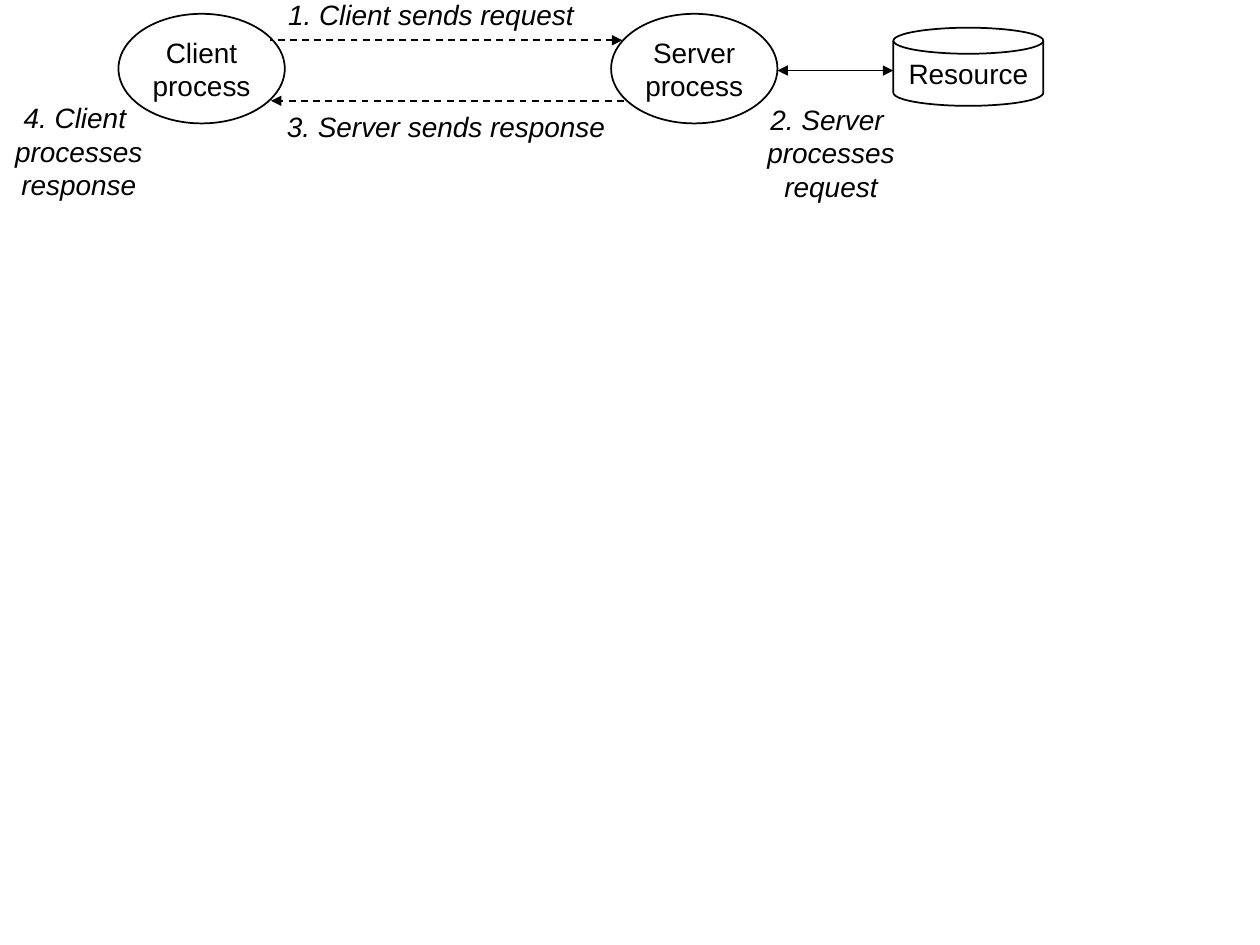
from lxml import etree
from pptx import Presentation
from pptx.dml.color import RGBColor
from pptx.enum.dml import MSO_LINE as Dash
from pptx.enum.shapes import MSO_CONNECTOR as Conn, MSO_SHAPE as Kind
from pptx.enum.text import MSO_ANCHOR as Anchor, MSO_AUTO_SIZE as Auto, PP_ALIGN as Align
from pptx.oxml.ns import qn
from pptx.util import Inches, Pt

HUES = {"ink": "000000", "paper": "FFFFFF"}
FONT, SIZE = "Arial", 16

# Content, back to front: nodes, arrows and step labels
OVAL = (1.32, 0.87)
PARTS = [
    ("node", Kind.OVAL, (0.94, 0.11, *OVAL), ["Client", "process"], "paper"),
    ("arrow", (4.94, 0.32), (2.14, 0.32), ["headEnd"], True),
    ("node", Kind.OVAL, (4.85, 0.11, *OVAL), ["Server", "process"], "paper"),
    ("label", (2.17, -0.07, 2.5, 0.37), ["1. Client sends request"]),
    ("label", (5.99, 0.76, 1.21, 0.9), ["2. Server ", "processes", "request"]),
    ("arrow", (4.95, 0.8), (2.15, 0.8), ["tailEnd"], True),
    ("label", (2.16, 0.82, 2.76, 0.37), ["3. Server sends response"]),
    ("label", (0.02, 0.75, 1.21, 0.9), ["4. Client ", "processes", "response"]),
    ("arrow", (6.17, 0.56), (7.09, 0.56), ["headEnd", "tailEnd"], False),
    ("node", Kind.FLOWCHART_MAGNETIC_DISK, (7.09, 0.22, 1.19, 0.62), ["Resource"], None),
]


def hue(name):
    return RGBColor.from_string(HUES[name])


def inch(nums):
    return [Inches(n) for n in nums]


def write(shape, lines, slant=False):
    frame = shape.text_frame
    frame.word_wrap = False
    frame.vertical_anchor = Anchor.MIDDLE
    for i, line in enumerate(lines):
        para = frame.add_paragraph() if i else frame.paragraphs[0]
        para.alignment = Align.CENTER
        run = para.add_run()
        run.text = line
        font = run.font
        font.name, font.size, font.italic = FONT, Pt(SIZE), slant
        font.color.rgb = hue("ink")


def stroke(shape):
    shape.line.color.rgb = hue("ink")
    shape.line.width = Pt(1)


def node(slide, kind, box, lines, fill):
    shape = slide.shapes.add_shape(kind, *inch(box))
    shape.shadow.inherit = False
    if fill:
        shape.fill.solid()
        shape.fill.fore_color.rgb = hue(fill)
    else:
        shape.fill.background()
    stroke(shape)
    write(shape, lines)


def label(slide, box, lines):
    shape = slide.shapes.add_textbox(*inch(box))
    write(shape, lines, True)
    shape.text_frame.auto_size = Auto.SHAPE_TO_FIT_TEXT


def arrow(slide, start, end, tips, dashed):
    line = slide.shapes.add_connector(Conn.STRAIGHT, *inch(start + end))
    stroke(line)
    if dashed:
        line.line.dash_style = Dash.DASH
    props = line._element.spPr
    for tip in tips:
        etree.SubElement(props.find(qn("a:ln")), qn(f"a:{tip}"), type="triangle")
    etree.SubElement(props, qn("a:effectLst"))


def main():
    deck = Presentation()
    deck.slide_width, deck.slide_height = inch((10, 7.5))
    slide = deck.slides.add_slide(deck.slide_layouts[6])
    draw = {"node": node, "label": label, "arrow": arrow}
    for part, *args in PARTS:
        draw[part](slide, *args)
    deck.save("out.pptx")


if __name__ == "__main__":
    main()
